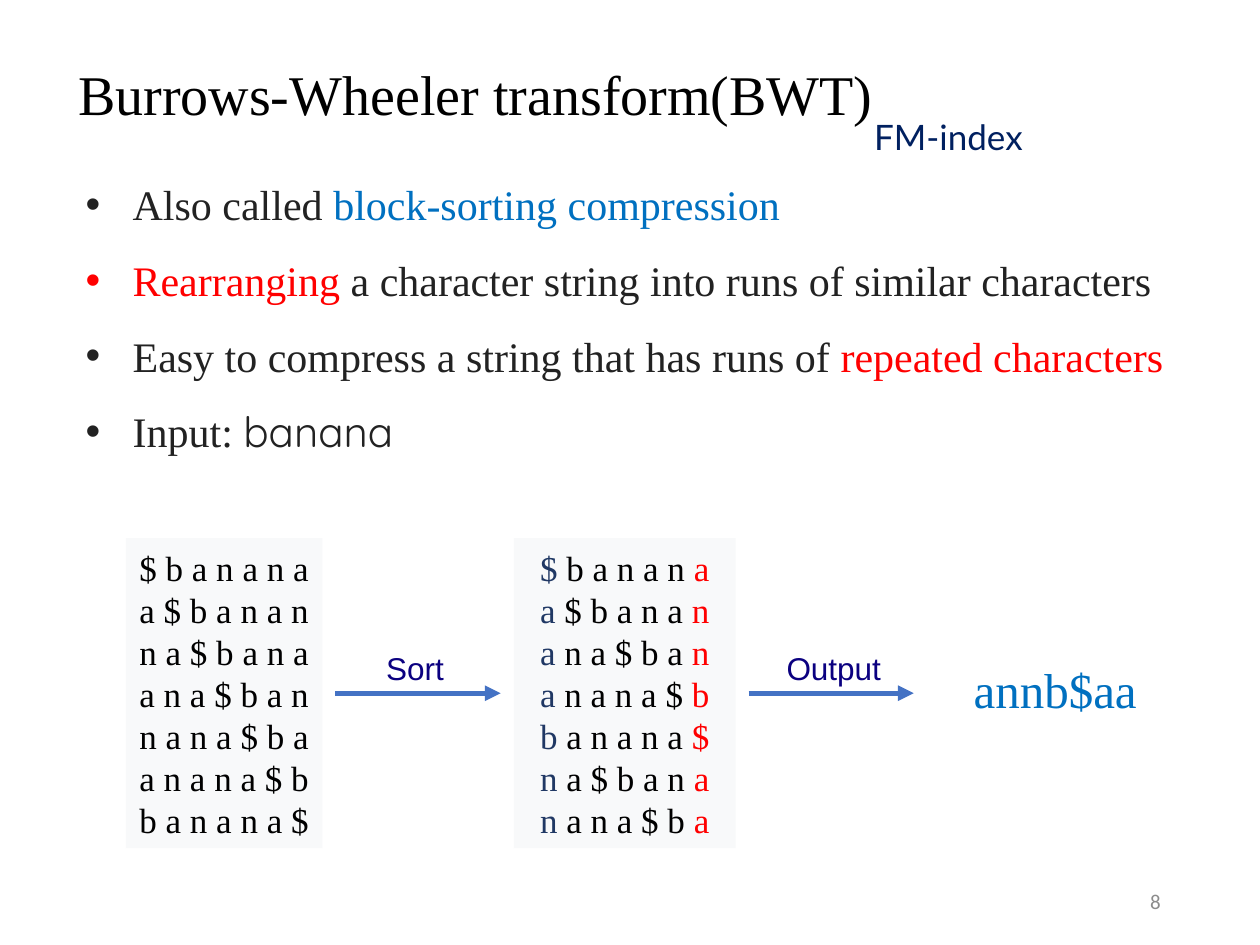
from lxml.etree import SubElement
from pptx import Presentation
from pptx.dml.color import RGBColor
from pptx.enum.shapes import MSO_CONNECTOR, MSO_SHAPE
from pptx.enum.text import MSO_ANCHOR, MSO_AUTO_SIZE, PP_ALIGN
from pptx.oxml.ns import qn
from pptx.util import Cm, Pt

INK = {"black": "000000", "text": "222222", "blue": "0070C0", "red": "FF0000",
       "navy": "203864", "deep": "002060", "label": "0B0080", "arrow": "4472C4",
       "pale": "F8F9FA", "gray": "8C8C8C"}
SERIF = "Times New Roman"
WORD = "banana$"
TURNS = [WORD[-i:] + WORD[:-i] for i in range(1, len(WORD) + 1)]
ROWS = sorted(TURNS)
ITEMS = [
    [("Also called ", "text"), ("block-sorting compression", "blue")],
    [("Rearranging", "red"),
     (" a\u00a0character string\u00a0into runs of similar characters", "text")],
    [("Easy to compress a string that has runs of ", "text"),
     ("repeated characters", "red")],
    [("Input: ", "text"), ("banana", "text", "Quicksand")],
]


def color(name):
    """Return the named colour."""
    return RGBColor.from_string(INK[name])


def place(shape, box):
    """Move a shape to a box given in centimetres."""
    shape.left, shape.top, shape.width, shape.height = map(Cm, box)


def style(para, size, face, ink=None):
    """Set the font that all runs of a paragraph share."""
    para.font.size, para.font.name = Pt(size), face
    if ink:
        para.font.color.rgb = color(ink)


def write(para, text, ink, face=None):
    """Add one coloured run."""
    run = para.add_run()
    run.text = text
    run.font.color.rgb = color(ink)
    if face:
        run.font.name = face


def note(slide, box, text, size, face, ink):
    """Add a one-line text box and return its paragraph."""
    frame = slide.shapes.add_textbox(*map(Cm, box)).text_frame
    frame.word_wrap = False
    para = frame.paragraphs[0]
    para.text = text
    style(para, size, face, ink)
    return para


def head(slide, box):
    """Fill the title and set the subtitle at its lower right."""
    x, y, w, h = box
    title = slide.shapes.title
    place(title, box)
    frame = title.text_frame
    frame.auto_size = MSO_AUTO_SIZE.NONE
    frame.vertical_anchor = MSO_ANCHOR.MIDDLE
    para = frame.paragraphs[0]
    para.text = "Burrows-Wheeler transform(BWT)"
    para.alignment, para.line_spacing = PP_ALIGN.LEFT, 0.9
    style(para, 32, SERIF, "black")
    note(slide, (x + 16.05, y + 1.07, 3.5, 1.12), "FM-index", 20, "Lato", "deep")


def points(slide, box):
    """Fill the body with the bulleted list."""
    body = slide.placeholders[1]
    place(body, box)
    frame = body.text_frame
    frame.auto_size, frame.word_wrap = MSO_AUTO_SIZE.NONE, False
    for i, item in enumerate(ITEMS):
        para = frame.add_paragraph() if i else frame.paragraphs[0]
        para.line_spacing, para.space_before = 1.5, Pt(0)
        props = para._p.get_or_add_pPr()
        props.set("marL", str(Cm(0.95)))
        props.set("indent", str(-Cm(0.95)))
        SubElement(props, qn("a:buFont"), typeface="Arial")
        SubElement(props, qn("a:buChar"), char="•")
        style(para, 24, SERIF)
        for part in item:
            write(para, *part)


def panel(slide, box, rows, first, last):
    """Draw a pale panel of rotations with coloured end columns."""
    shape = slide.shapes.add_shape(MSO_SHAPE.RECTANGLE, *map(Cm, box))
    shape.shadow.inherit = False
    shape.fill.solid()
    shape.fill.fore_color.rgb = color("pale")
    shape.line.fill.background()
    frame = shape.text_frame
    frame.vertical_anchor = MSO_ANCHOR.MIDDLE
    para = frame.paragraphs[0]
    para.alignment = PP_ALIGN.CENTER
    style(para, 20, SERIF, "black")
    for i, row in enumerate(rows):
        if i:
            para.add_line_break()
        write(para, row[0], first)
        write(para, f" {' '.join(row[1:-1])} ", "black")
        write(para, row[-1], last)


def step(slide, box, text, inset, width):
    """Draw an arrow along the foot of the box with its label above."""
    x, y, w, h = box
    note(slide, (x + inset, y, width, h), "\u00a0" + text, 18, "Arial", "label")
    line = slide.shapes.add_connector(
        MSO_CONNECTOR.STRAIGHT, Cm(x), Cm(y + h), Cm(x + w), Cm(y + h))
    line.line.color.rgb = color("arrow")
    line.line.width = Pt(3)
    SubElement(line.line._get_or_add_ln(), qn("a:tailEnd"), type="triangle")
    SubElement(line._element.spPr, qn("a:effectLst"))


def flow(slide, box):
    """Lay out the rotations, the sorted rows and the output."""
    x, y, w, h = box
    mid = y + h / 2
    panel(slide, (x, y, 3.96, h), TURNS, "black", "black")
    step(slide, (x + 4.22, mid - 1.02, 3.33, 1.02), "Sort", 0.6, 1.9)
    panel(slide, (x + 7.82, y, 4.47, h), ROWS, "navy", "red")
    step(slide, (x + 12.55, mid - 1.02, 3.33, 1.02), "Output", 0.34, 2.7)
    result = "".join(row[-1] for row in ROWS)
    note(slide, (x + w - 3.84, mid - 0.8, 3.84, 1.45), result, 28, SERIF, "blue")


def number(slide, box):
    """Add the slide number."""
    para = note(slide, box, "8", 12, "Calibri", "gray")
    para.alignment = PP_ALIGN.RIGHT
    frame = slide.shapes[-1].text_frame
    frame.word_wrap = True
    frame.vertical_anchor = MSO_ANCHOR.MIDDLE


def main():
    """Build and save the slide."""
    deck = Presentation()
    deck.slide_width, deck.slide_height = Cm(25.4), Cm(19.05)
    slide = deck.slides.add_slide(deck.slide_layouts[1])
    head(slide, (1.32, 1.14, 21.89, 1.63))
    points(slide, (1.47, 2.97, 22.45, 6.4))
    flow(slide, (2.54, 10.85, 20.68, 6.25))
    number(slide, (17.93, 17.65, 5.72, 1.02))
    deck.save("out.pptx")


if __name__ == "__main__":
    main()
